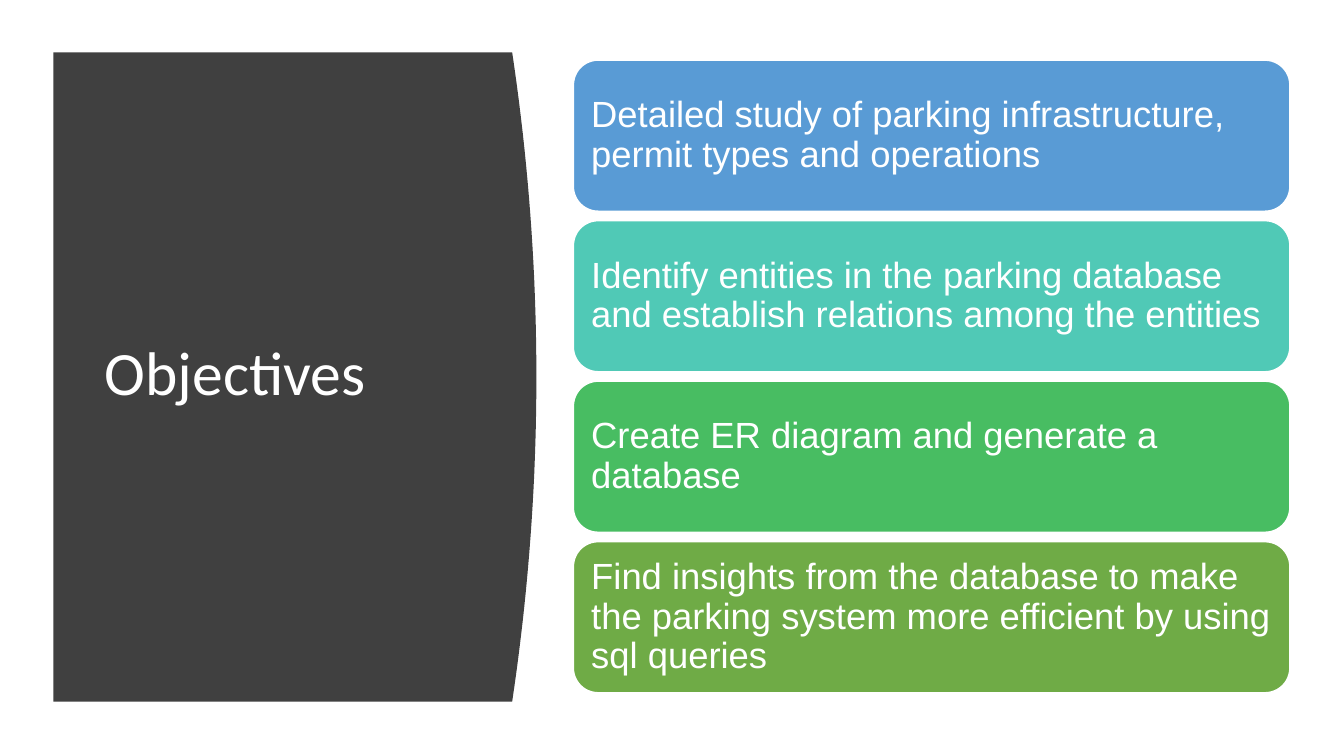
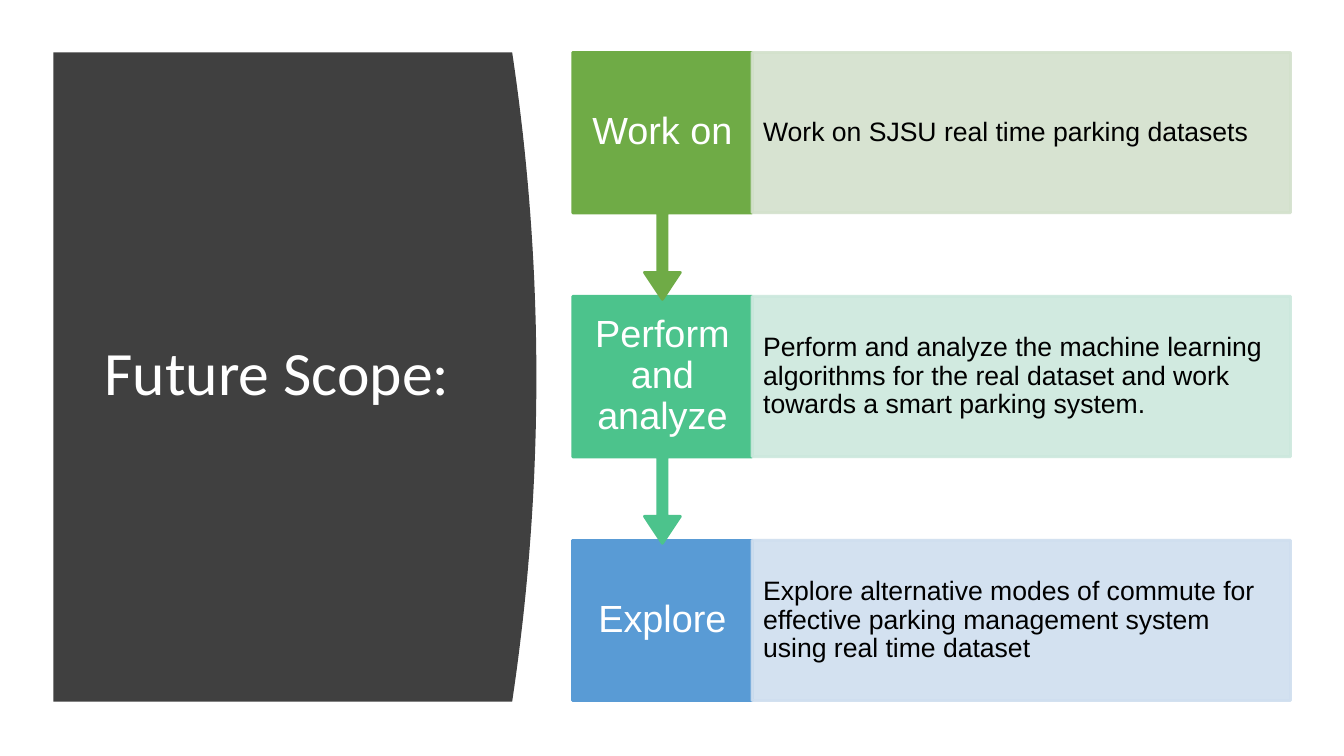
from lxml import etree
from pptx import Presentation
from pptx import util as u
from pptx.dml.color import RGBColor
from pptx.enum import shapes, text
from pptx.oxml import ns

I = u.Inches
KIND = shapes.MSO_SHAPE
LEFT, CENTER = text.PP_ALIGN.LEFT, text.PP_ALIGN.CENTER

WHITE, BLACK, DARK = "FFFFFF", "000000", "404040"
BLUE, TEAL, GREEN, OLIVE, MINT = "599BD5", "50C9B6", "48BD62", "6FAB46", "4CC38C"
BODY_FONT, TITLE_FONT = "Arial", "Calibri"

PANEL_BOX = (0.53, 0.52, 4.79, 6.44)
TITLE_BOX = (0.94, 1.11, 3.74, 5.24)
CARDS_BOX = (5.68, 0.59, 7.12, 6.29)
STEPS_BOX = (5.68, 0.52, 7.12, 6.43)

OBJECTIVES = [
    ("Detailed study of parking infrastructure, permit types and operations", BLUE),
    ("Identify entities in the parking database and establish relations among the entities", TEAL),
    ("Create ER diagram and generate a database", GREEN),
    ("Find insights from the database to make the parking system more efficient "
     "by using sql queries", OLIVE),
]
STEPS = [
    ("Work on", "Work on SJSU real time parking datasets", OLIVE, "D3E1CC"),
    ("Perform and analyze",
     "Perform and analyze the machine learning algorithms for the real dataset "
     "and work towards a smart parking system.", MINT, "CCE8DD"),
    ("Explore",
     "Explore alternative modes of commute for effective parking management system "
     "using real time dataset", BLUE, "CFDEEF"),
]


def paint(color_format, color, alpha=100):
    """Give a solid fill a hex colour and an opacity in percent."""
    color_format.solid()
    color_format.fore_color.rgb = RGBColor.from_string(color)
    if alpha < 100:
        for clr in color_format._xPr.iter(ns.qn("a:srgbClr")):
            etree.SubElement(clr, ns.qn("a:alpha")).set("val", str(alpha * 1000))


def write(sp, words, size, color, font=BODY_FONT, align=LEFT, pad=(0.11, 0.11)):
    """Write one vertically centred paragraph into a shape."""
    tf = sp.text_frame
    tf.word_wrap = True
    tf.vertical_anchor = text.MSO_ANCHOR.MIDDLE
    tf.margin_left = tf.margin_right = I(pad[0])
    tf.margin_top = tf.margin_bottom = I(pad[1])
    p = tf.paragraphs[0]
    p.alignment = align
    p.line_spacing = 0.9
    r = p.add_run()
    r.text = words
    r.font.size = u.Pt(size)
    r.font.name = font
    paint(r.font.fill, color)


def add_block(s, kind, box, fill, line, alpha=100):
    """Add a preset shape with a plain fill and outline."""
    sp = s.shapes.add_shape(kind, *map(I, box))
    sp.shadow.inherit = False
    paint(sp.fill, fill, alpha)
    paint(sp.line.fill, line, alpha)
    sp.line.width = u.Pt(2 if kind != KIND.RECTANGLE or alpha == 100 else 2)
    return sp


def add_title_panel(s, box, title):
    """Draw the dark panel with its bowed right edge and the slide title."""
    x, y, w, h = box
    bow, count = 0.24, 40
    edge = []
    for i in range(count + 1):
        t = 2 * i / count - 1
        edge.append((I(x + w - bow * t * t), I(y + h * i / count)))
    fb = s.shapes.build_freeform(I(x), I(y), scale=1.0)
    fb.add_line_segments(edge + [(I(x), I(y + h))], close=True)
    sp = fb.convert_to_shape()
    sp.shadow.inherit = False
    paint(sp.fill, DARK)
    sp.line.fill.background()
    tb = s.shapes.add_textbox(*map(I, TITLE_BOX))
    write(tb, title, 44, WHITE, TITLE_FONT, pad=(0.1, 0.05))


def add_cards(s, box, cards):
    """Stack rounded cards with equal gaps inside the box."""
    x, y, w, h = box
    gap = 0.08
    card_h = (h - gap * (len(cards) - 1)) / len(cards)
    for i, (words, color) in enumerate(cards):
        card = (x, y + i * (card_h + gap), w, card_h)
        sp = add_block(s, KIND.ROUNDED_RECTANGLE, card, color, WHITE)
        sp.adjustments[0] = 0.167
        write(sp, words, 26, WHITE)


def add_steps(s, box, steps):
    """Stack steps, each a label pointing to the next and a pale detail."""
    x, y, w, h = box
    row_h, label_w, callout_h = 1.59, w / 4, 2.45
    pitch = (h - row_h) / (len(steps) - 1)
    for i, (label, detail, color, pale) in reversed(list(enumerate(steps))):
        top = y + i * pitch
        if i == len(steps) - 1:
            sp = add_block(s, KIND.RECTANGLE, (x, top, label_w, row_h), color, color)
        else:
            sp = add_block(s, KIND.DOWN_ARROW_CALLOUT, (x, top, label_w, callout_h), color, color)
            for n, value in enumerate((0.05, 0.1, 0.15, 0.65)):
                sp.adjustments[n] = value
        write(sp, label, 27, WHITE, align=CENTER, pad=(0.13, 0.21))
        sp = add_block(s, KIND.RECTANGLE, (x + label_w, top, w - label_w, row_h), pale, pale, 90)
        write(sp, detail, 19, BLACK, pad=(0.11, 0.26))


def add_slide(prs, title, add_content, box, items):
    """Add a blank slide with the title panel and its content region."""
    s = prs.slides.add_slide(prs.slide_layouts[6])
    add_title_panel(s, PANEL_BOX, title)
    add_content(s, box, items)


def main():
    """Build and save the presentation."""
    prs = Presentation()
    prs.slide_width, prs.slide_height = I(13.33), I(7.5)
    add_slide(prs, "Objectives", add_cards, CARDS_BOX, OBJECTIVES)
    add_slide(prs, "Future Scope:", add_steps, STEPS_BOX, STEPS)
    prs.save("out.pptx")


if __name__ == "__main__":
    main()
